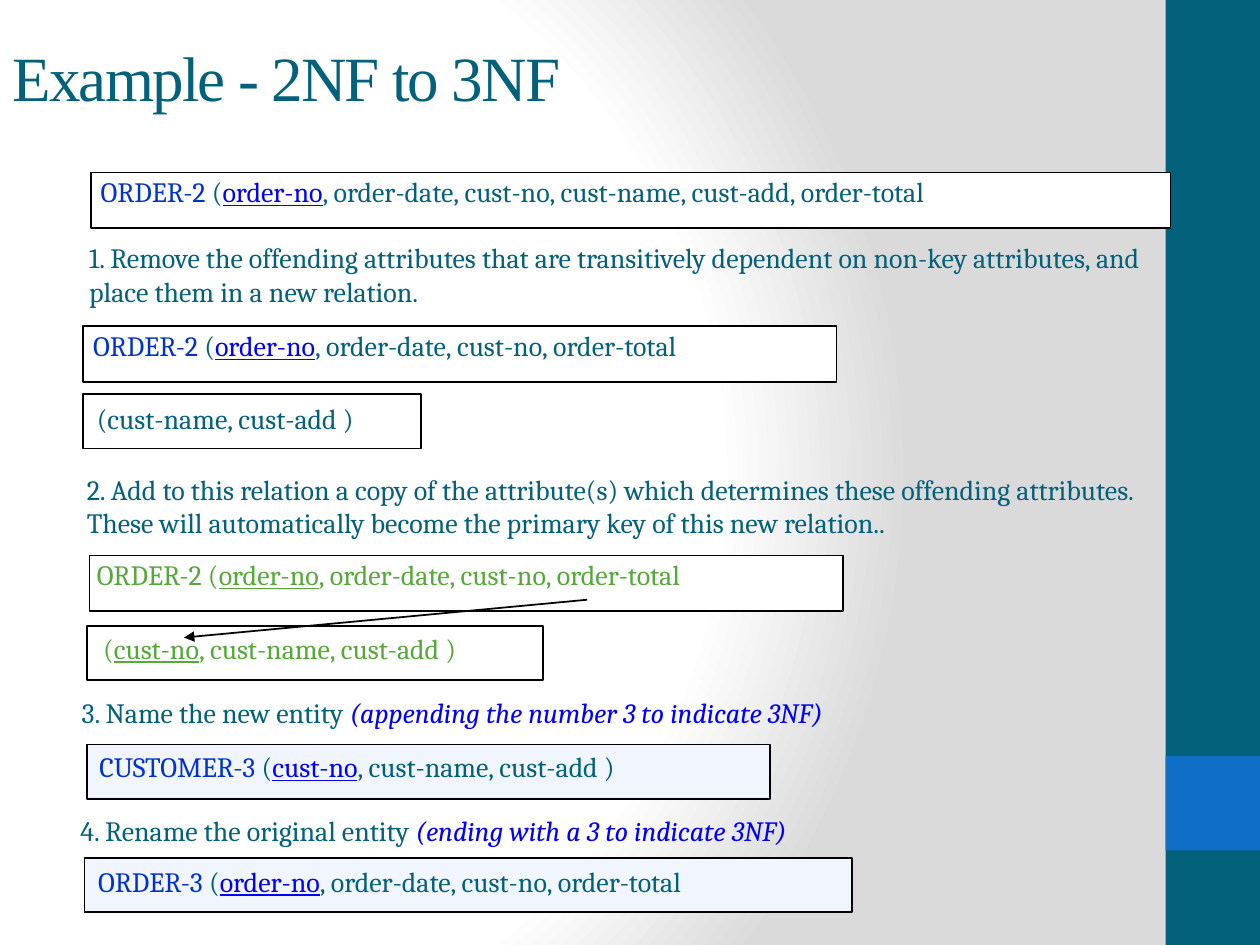
from lxml.etree import SubElement
from pptx import Presentation
from pptx.dml.color import RGBColor
from pptx.enum.shapes import MSO_CONNECTOR, MSO_SHAPE
from pptx.enum.text import MSO_ANCHOR, MSO_AUTO_SIZE
from pptx.oxml import parse_xml
from pptx.oxml.ns import nsdecls, qn
from pptx.util import Inches, Pt

COLORS = {
    "teal": "04617B", "accent": "0F6FC6", "entity": "0033CC", "key": "0000FF",
    "green": "55A839", "white": "FFFFFF", "pale": "F0F5FE", "black": "000000",
    "gray": "DADADA",
}


def rgb(name):
    return RGBColor.from_string(COLORS[name])


def set_background(s):
    """Radial gradient from white at the left to gray."""
    stops = "".join(
        f'<a:gs pos="{pos * 1000}"><a:srgbClr val="{COLORS[name]}"/></a:gs>'
        for pos, name in [(0, "white"), (75, "white"), (100, "gray")])
    bg = parse_xml(
        f'<p:bg {nsdecls("p", "a")}><p:bgPr><a:gradFill rotWithShape="1">'
        f'<a:gsLst>{stops}</a:gsLst><a:path path="circle">'
        '<a:fillToRect l="20000" t="50000" r="100000" b="50000"/></a:path>'
        '</a:gradFill><a:effectLst/></p:bgPr></p:bg>')
    s.element.cSld.insert(0, bg)


def add_box(s, x, y, w, h, fill, line="black"):
    sp = s.shapes.add_shape(MSO_SHAPE.RECTANGLE, Inches(x), Inches(y), Inches(w), Inches(h))
    sp.shadow.inherit = False
    sp.fill.solid()
    sp.fill.fore_color.rgb = rgb(fill)
    if line:
        sp.line.color.rgb = rgb(line)
        sp.line.width = Pt(1)
    else:
        sp.line.fill.background()


def add_text(s, x, y, w, h, runs, size=16, font="Cambria", spacing=None):
    """Each run is (text, color, style); style is "u", "i" or empty."""
    sp = s.shapes.add_textbox(Inches(x), Inches(y), Inches(w), Inches(h))
    tf = sp.text_frame
    tf.word_wrap = True
    tf.auto_size = MSO_AUTO_SIZE.SHAPE_TO_FIT_TEXT
    p = tf.paragraphs[0]
    if spacing:
        p.line_spacing = spacing
    for text, color, style in runs:
        r = p.add_run()
        r.text = text
        r.font.size = Pt(size)
        r.font.name = font
        r.font.color.rgb = rgb(color)
        if style == "u":
            r.font.underline = True
        elif style == "i":
            r.font.italic = True
    return sp


def add_title(s, text):
    sp = add_text(s, 0, 0, 10, 1.21, [(text, "teal", "")], 36, "Times New Roman")
    tf = sp.text_frame
    tf.auto_size = MSO_AUTO_SIZE.NONE
    tf.vertical_anchor = MSO_ANCHOR.MIDDLE
    tf.paragraphs[0].runs[0].font._element.set("spc", "-100")


def relation(name, key, rest, colors=("entity", "teal", "key")):
    """Runs of a relation: entity name, underlined key, other attributes."""
    entity, plain, key_color = colors
    runs = [(name, entity, ""), (" (" if name else "(", plain, ""),
            (key, key_color, "u"), (rest, plain, "")]
    return [run for run in runs if run[0]]


def add_relation(s, box, text_at, runs, fill="white"):
    add_box(s, *box, fill)
    add_text(s, *text_at, runs)


def add_arrow(s, x1, y1, x2, y2):
    """Line with its arrowhead at the first point."""
    c = s.shapes.add_connector(MSO_CONNECTOR.STRAIGHT, Inches(x1), Inches(y1),
                               Inches(x2), Inches(y2))
    c.line.color.rgb = rgb("black")
    c.line.width = Pt(1)
    SubElement(c.line._get_or_add_ln(), qn("a:headEnd"), type="triangle")
    SubElement(c._element.spPr, qn("a:effectLst"))


def main():
    prs = Presentation()
    prs.slide_width, prs.slide_height = Inches(10), Inches(7.5)
    s = prs.slides.add_slide(prs.slide_layouts[6])
    order_rest = ", order-date, cust-no, order-total"
    customer_rest = ", cust-name, cust-add )"
    greens = ("green",) * 3

    # Background, side band and title
    set_background(s)
    add_box(s, 9.25, 0, 0.75, 7.5, "teal", None)
    add_box(s, 9.25, 6, 0.75, 0.75, "accent", None)
    add_title(s, "Example - 2NF to 3NF")

    # Starting relation
    add_relation(s, (0.72, 1.37, 8.57, 0.44), (0.7, 1.34, 8.76, 0.37), relation(
        "ORDER-2", "order-no", ", order-date, cust-no, cust-name, cust-add, order-total"))

    # Step 1: split off the attributes
    add_text(s, 0.61, 1.86, 8.69, 0.64, [(
        "1. Remove the offending attributes that are transitively dependent on "
        "non-key attributes, and place them in a new relation.", "teal", "")])
    add_relation(s, (0.66, 3.13, 2.68, 0.43), (0.67, 3.14, 2.45, 0.37),
                 [("(cust-name, cust-add )", "teal", "")])
    add_relation(s, (0.66, 2.59, 5.98, 0.44), (0.64, 2.56, 6.11, 0.37),
                 relation("ORDER-2", "order-no", order_rest))

    # Step 2: copy the determining attribute
    add_text(s, 0.59, 3.7, 8.89, 0.64, [(
        "2. Add to this relation a copy of the attribute(s) which determines these "
        "offending attributes. These will automatically become the primary key of "
        "this new relation..", "teal", "")])
    add_relation(s, (0.69, 4.97, 3.62, 0.43), (0.72, 4.96, 3.31, 0.37),
                 relation("", "cust-no", customer_rest, greens))
    add_relation(s, (0.71, 4.41, 5.98, 0.44), (0.67, 4.38, 6.14, 0.37),
                 relation("ORDER-2", "order-no", order_rest, greens))
    add_arrow(s, 1.46, 5.06, 4.66, 4.76)

    # Step 3: name the new entity
    add_text(s, 0.55, 5.5, 6.72, 0.34, [
        ("3. Name the new entity ", "teal", ""),
        ("(appending the number 3 to indicate 3NF)", "key", "i")], spacing=0.9)
    add_relation(s, (0.69, 5.91, 5.42, 0.43), (0.69, 5.9, 4.85, 0.37),
                 relation("CUSTOMER-3", "cust-no", customer_rest), "pale")

    # Step 4: rename the original entity
    add_text(s, 0.54, 6.41, 6.35, 0.37, [
        ("4. Rename the original entity ", "teal", ""),
        ("(ending with a 3 to indicate 3NF)", "key", "i")])
    add_relation(s, (0.67, 6.81, 6.09, 0.43), (0.68, 6.81, 6.11, 0.37),
                 relation("ORDER-3", "order-no", order_rest), "pale")

    prs.save("out.pptx")


if __name__ == "__main__":
    main()
